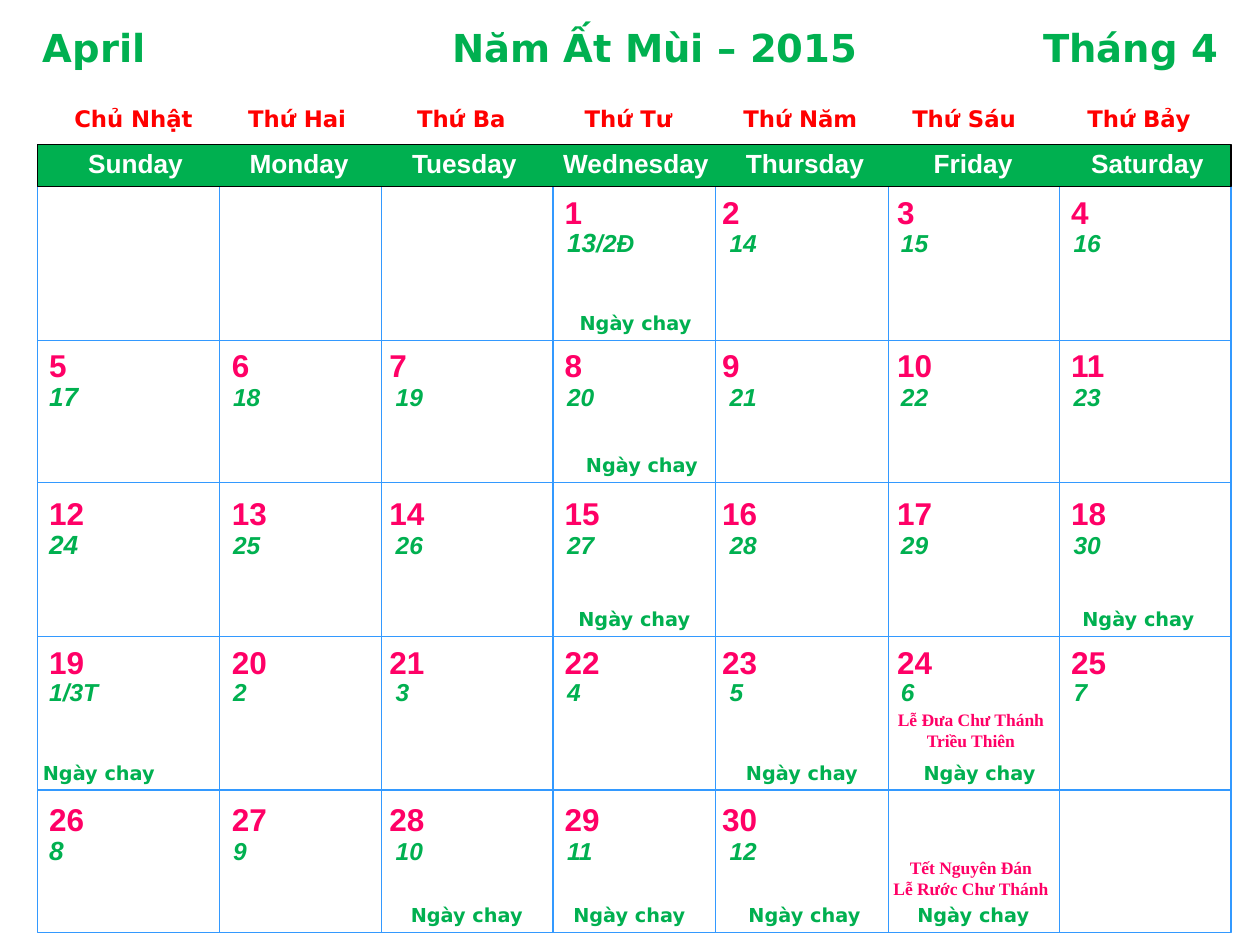
import pptx
import pptx.dml.color
import pptx.enum.shapes
import pptx.enum.text
import pptx.util
from lxml import etree

GREEN, PINK, RED, BLUE = "00B050", "FF0066", "FF0000", "3399FF"
INSET = 0.09
COLUMN_EDGES = [0.3, 1.74, 3.03, 4.39, 5.68, 7.05, 8.41, 9.77]
WEEK_EDGES = [1.48, 2.7, 3.83, 5.05, 6.27, 7.4]
GRID_LEFT, GRID_WIDTH = COLUMN_EDGES[0], COLUMN_EDGES[-1] - COLUMN_EDGES[0]
HEADER_TOP = 1.15
Inches = pptx.util.Inches


def color(value):
    return pptx.dml.color.RGBColor.from_string(value)


def write(shape, box, paragraphs, text_format, columns=(), align="LEFT", wrap=True):
    """Place a text shape; a paragraph is a list of (text, size) runs, columns are tab stops on the slide."""
    shape.left, shape.top, shape.width, shape.height = map(Inches, box)
    frame = shape.text_frame
    frame_format = {
        "word_wrap": wrap,
        "auto_size": pptx.enum.text.MSO_AUTO_SIZE.NONE,
        "vertical_anchor": pptx.enum.text.MSO_ANCHOR.TOP,
        "margin_left": Inches(INSET), "margin_right": Inches(INSET),
        "margin_top": Inches(0.05), "margin_bottom": Inches(0.05),
    }
    for name, value in frame_format.items():
        setattr(frame, name, value)
    for index, runs in enumerate(paragraphs):
        paragraph = frame.add_paragraph() if index else frame.paragraphs[0]
        paragraph.alignment = getattr(pptx.enum.text.PP_ALIGN, align)
        paragraph.line_spacing = 1.0
        if columns:
            properties = paragraph._p.get_or_add_pPr()
            tab_list = etree.SubElement(properties, pptx.oxml.ns.qn("a:tabLst"))
            for column in columns:
                stop = Inches(round(column - box[0] - INSET, 2))
                etree.SubElement(tab_list, pptx.oxml.ns.qn("a:tab"), pos=str(stop), algn="l")
        for text, size in runs:
            run = paragraph.add_run()
            run.text = text
            run.font.color.rgb = color(text_format["color"])
            run.font.size = pptx.util.Pt(size)
            for name in ("name", "bold", "italic"):
                setattr(run.font, name, text_format.get(name, name == "bold"))


presentation = pptx.Presentation()
presentation.slide_width, presentation.slide_height = Inches(10), Inches(7.5)
slide = presentation.slides.add_slide(presentation.slide_layouts[5])
shapes = slide.shapes

# Calendar grid
grid_lines = [(GRID_LEFT, top, COLUMN_EDGES[-1], top) for top in WEEK_EDGES[:-1]]
grid_lines += [(left, WEEK_EDGES[0], left, WEEK_EDGES[-1]) for left in COLUMN_EDGES[1:-1]]
for ends in grid_lines:
    line = shapes.add_connector(pptx.enum.shapes.MSO_CONNECTOR.STRAIGHT, *map(Inches, ends))
    line.line.color.rgb = color(BLUE)
    line.line.width = pptx.util.Pt(0.75)
    etree.SubElement(line._element.spPr, pptx.oxml.ns.qn("a:effectLst"))

for top, bottom, fill, outline in [
    (WEEK_EDGES[0], WEEK_EDGES[-1], None, BLUE),
    (HEADER_TOP, WEEK_EDGES[0], GREEN, "000000"),
]:
    rectangle = shapes.add_shape(
        pptx.enum.shapes.MSO_SHAPE.RECTANGLE,
        *map(Inches, (GRID_LEFT, top, GRID_WIDTH, bottom - top)))
    rectangle.shadow.inherit = False
    if fill:
        rectangle.fill.solid()
        rectangle.fill.fore_color.rgb = color(fill)
    else:
        rectangle.fill.background()
    rectangle.line.color.rgb = color(outline)
    rectangle.line.width = pptx.util.Pt(0.75)

# Title and weekday names
write(shapes.title, (0.25, 0.14, 9.75, 0.5), [[("April\tNăm Ất Mùi – 2015\tTháng 4", 22)]],
      {"name": "DejaVu Sans", "color": GREEN}, columns=(3.59, 8.28))

weekdays = [("Sunday", 0.61, 0.94), ("Monday", 1.89, 0.98), ("Tuesday", 3.18, 1.02),
            ("Wednesday", 4.38, 1.35), ("Thursday", 5.83, 1.13), ("Friday", 7.32, 0.82),
            ("Saturday", 8.57, 1.09)]
for weekday, left, width in weekdays:
    write(shapes.add_textbox(0, 0, 0, 0), (left, 1.12, width, 0.35), [[(weekday, 15)]],
          {"name": "Arial", "color": "FFFFFF"}, wrap=False)

write(shapes.add_textbox(0, 0, 0, 0), (0.5, 0.78, 9.28, 0.31),
      [[("Chủ Nhật\tThứ Hai\tThứ Ba\tThứ Tư\tThứ Năm\tThứ Sáu\tThứ Bảy", 13)]],
      {"name": "DejaVu Sans", "color": RED}, columns=(1.97, 3.31, 4.64, 5.9, 7.24, 8.63))

# Weeks: top, solar days, lunar days as (text, size) runs
weeks = [
    (1.48, "\t\t\t1\t2\t3\t4", [("\t\t\t13", 15), ("/2Đ\t14\t15\t16", 14)]),
    (2.7, "5\t6\t7\t8\t9\t10\t11", [("17", 15), ("\t18\t19\t20\t21\t22\t23", 14)]),
    (3.87, "12\t13\t14\t15\t16\t17\t18", [("24", 15), ("\t25\t26\t27\t28\t29\t30", 14)]),
    (5.05, "19\t20\t21\t22\t23\t24\t25", [("1/3T\t2\t3\t4\t5\t6\t7", 14)]),
    (6.3, "26\t27\t28\t29\t30", [("8", 15), ("\t9\t10\t11\t12", 14)]),
]
for top, days, lunar_days in weeks:
    write(shapes.add_textbox(0, 0, 0, 0), (GRID_LEFT, top, 9.39, 0.41), [[(days, 18)]],
          {"name": "Arial", "color": PINK}, columns=(1.84, 3.09, 4.48, 5.73, 7.12, 8.5))
    write(shapes.add_textbox(0, 0, 0, 0), (GRID_LEFT, top + 0.27, 9.39, 0.35), [lunar_days],
          {"name": "Arial", "color": GREEN, "italic": True},
          columns=(1.85, 3.14, 4.5, 5.79, 7.15, 8.52))

# Fasting days: column, week, indent from the column edge
fasting_days = [(3, 0, 0.12), (3, 1, 0.17), (3, 2, 0.11), (6, 2, 0.09), (0, 3, -0.05),
                (4, 3, 0.15), (5, 3, 0.19), (2, 4, 0.14), (3, 4, 0.07), (4, 4, 0.17), (5, 4, 0.14)]
for column, week, indent in fasting_days:
    write(shapes.add_textbox(0, 0, 0, 0),
          (COLUMN_EDGES[column] + indent, WEEK_EDGES[week + 1] - 0.28, 1.08, 0.28),
          [[("Ngày chay", 11)]], {"name": "DejaVu Sans", "color": GREEN})

# Festivals
for top, lines in [(5.58, ("Lễ Đưa Chư Thánh", "Triều Thiên")),
                   (6.75, ("Tết Nguyên Đán", "Lễ Rước Chư Thánh"))]:
    write(shapes.add_textbox(0, 0, 0, 0), (6.83, top, 1.75, 0.43), [[(text, 10)] for text in lines],
          {"name": "Times New Roman", "color": PINK}, align="CENTER")

presentation.save("out.pptx")
